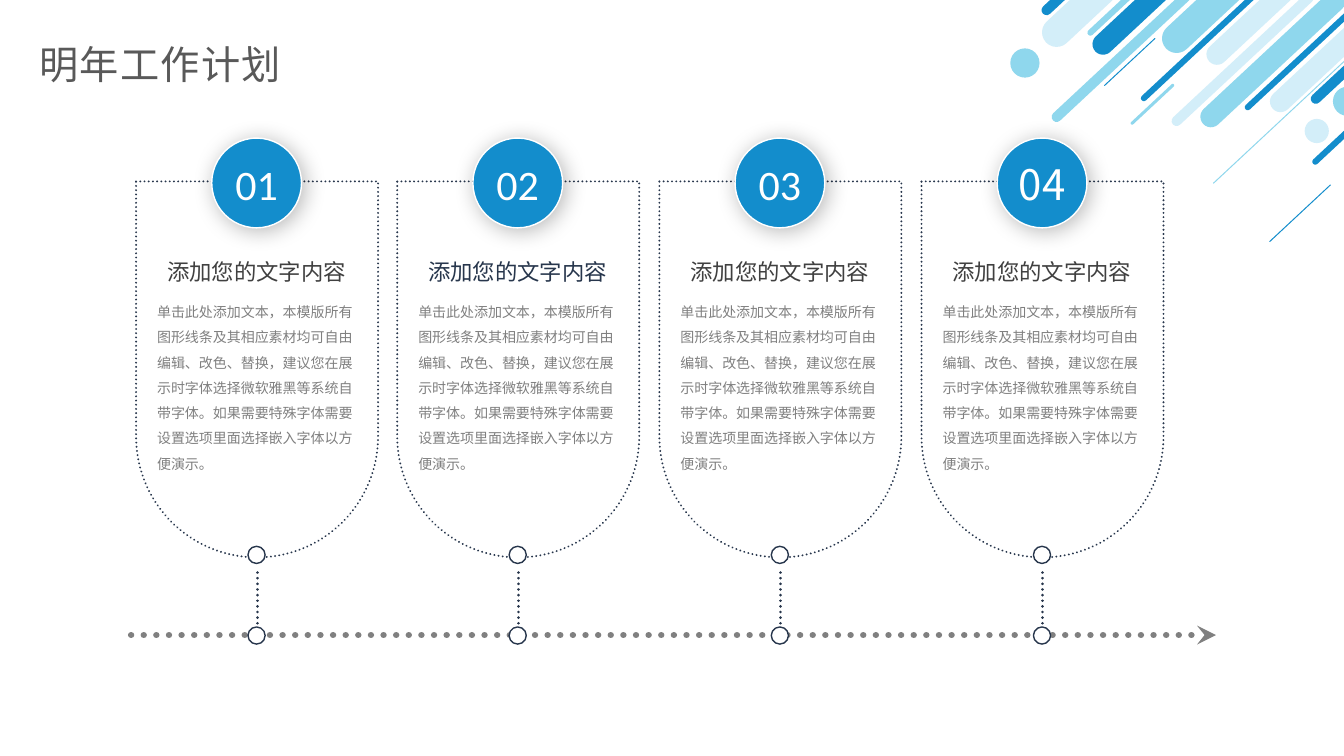
"""Build the work plan slide: four numbered cards above a dotted timeline."""
from lxml.etree import SubElement
from pptx import Presentation
from pptx.dml.color import RGBColor
from pptx.enum.dml import MSO_LINE
from pptx.enum.shapes import MSO_CONNECTOR, MSO_SHAPE
from pptx.enum.text import MSO_ANCHOR, MSO_AUTO_SIZE, PP_ALIGN
from pptx.oxml.ns import qn
from pptx.util import Pt

PX = 9144
CJK_FONT = "Noto Sans CJK SC"
WHITE = RGBColor(0xFF, 0xFF, 0xFF)
BLACK = RGBColor(0x00, 0x00, 0x00)
BLUE = RGBColor(0x13, 0x8D, 0xCC)
SKY = RGBColor(0x8F, 0xD7, 0xED)
PALE = RGBColor(0xD3, 0xEE, 0xF9)
NAVY = RGBColor(0x27, 0x36, 0x4C)
GRAY = RGBColor(0x80, 0x80, 0x80)
DARK = RGBColor(0x40, 0x40, 0x40)
TITLE_GRAY = RGBColor(0x59, 0x59, 0x59)

STRIPES = [
    (1012, -37, 189, 29, PALE), (1054, -33, 189, 6, SKY),
    (1061, -24, 189, 21, BLUE), (1019, 50, 189, 10, SKY),
    (1131, -31, 189, 29, SKY), (1107, 32, 189, 6, BLUE),
    (1174, -14, 189, 21, PALE), (1138, 54, 189, 10, PALE),
    (1168, 48, 189, 21, SKY), (1210, 41, 189, 6, BLUE),
    (1237, 33, 189, 21, PALE), (1276, 32, 189, 10, BLUE),
    (1009, -56, 189, 10, BLUE), (1277, 95, 189, 6, BLUE),
    (1178, 117, 189, 1, SKY), (1248, 211, 83, 1, BLUE),
    (1114, 102, 58, 3, SKY), (1086, 61, 69, 1, BLUE),
]
DOTS = [(1294, 118, 24, PALE), (1322, 86, 29, SKY), (1002, 48, 29, SKY)]

CARDS = [
    ("01", "Calibri", DARK), ("02", "Calibri", NAVY),
    ("03", "Calibri", DARK), ("04", CJK_FONT, DARK),
]
HEADING = "添加您的文字内容"
BODY = (
    "单击此处添加文本，本模版所有图形线条及其相应素材均可自由编辑、改色、替换，"
    "建议您在展示时字体选择微软雅黑等系统自带字体。"
    "如果需要特殊字体需要设置选项里面选择嵌入字体以方便演示。"
)
FIRST_CARD_LEFT = 135
LAST_CARD_OFFSET = 779
CARD_WIDTH = 240
TIMELINE_Y = 630


def px(*lengths):
    """Turn px lengths into EMU."""
    return [length * PX for length in lengths]


def write_text(frame, text, *, size, color, font=CJK_FONT, align=PP_ALIGN.LEFT,
               anchor=MSO_ANCHOR.TOP, wrap=True, line_spacing=None, tracking=None):
    """Fill a text frame with one formatted paragraph."""
    frame.auto_size = MSO_AUTO_SIZE.NONE
    frame.word_wrap = wrap
    frame.vertical_anchor = anchor
    paragraph = frame.paragraphs[0]
    paragraph.alignment = align
    if line_spacing:
        paragraph.line_spacing = line_spacing
    run = paragraph.add_run()
    run.text = text
    run.font.size = Pt(size)
    run.font.color.rgb = color
    run.font.name = font
    properties = run.font._element
    SubElement(properties, qn("a:ea"), typeface=CJK_FONT)
    if tracking:
        properties.set("spc", str(tracking * 100))


def add_label(shapes, box, text, **text_format):
    """Add a text box with formatted text."""
    write_text(shapes.add_textbox(*px(*box)).text_frame, text, **text_format)


def style_line(line, color, width, dotted=False):
    """Set an outline's colour, width and round dots."""
    line.color.rgb = color
    line.width = Pt(width)
    if dotted:
        line.dash_style = MSO_LINE.ROUND_DOT
        line._ln.set("cap", "rnd")


def add_figure(shapes, preset, box, fill, outline=None, width=1, dotted=False):
    """Add a filled preset shape without a shadow."""
    figure = shapes.add_shape(preset, *px(*box))
    figure.fill.solid()
    figure.fill.fore_color.rgb = fill
    if outline is None:
        figure.line.fill.background()
    else:
        style_line(figure.line, outline, width, dotted)
    figure.shadow.inherit = False
    return figure


def add_dotted_line(shapes, ends, color, width):
    """Add a straight dotted connector."""
    connector = shapes.add_connector(MSO_CONNECTOR.STRAIGHT, *px(*ends))
    style_line(connector.line, color, width, dotted=True)
    SubElement(connector._element.spPr, qn("a:effectLst"))
    return connector


def add_soft_shadow(figure):
    """Give a shape a soft shadow to the lower right."""
    effects = figure._element.spPr.find(qn("a:effectLst"))
    shadow = SubElement(effects, qn("a:outerShdw"), blurRad=str(Pt(16)),
                        dist=str(Pt(3)), dir="2700000", algn="tl", rotWithShape="0")
    tint = SubElement(shadow, qn("a:srgbClr"), val=str(BLACK))
    SubElement(tint, qn("a:alpha"), val="28000")


def add_corner_decoration(slide):
    """Draw the slanted stripes and dots in the top right corner."""
    shapes = slide.shapes.add_group_shape().shapes
    for *box, color in STRIPES:
        stripe = add_figure(shapes, MSO_SHAPE.ROUNDED_RECTANGLE, box, color)
        stripe.adjustments[0] = 0.5
        stripe.rotation = 317
    for left, top, diameter, color in DOTS:
        add_figure(shapes, MSO_SHAPE.OVAL, (left, top, diameter, diameter), color)


def add_timeline(slide):
    """Draw the dotted arrow along the bottom."""
    timeline = add_dotted_line(
        slide.shapes, (130, TIMELINE_Y, 1206, TIMELINE_Y), GRAY, 4.5)
    SubElement(timeline.line._ln, qn("a:tailEnd"), type="stealth")


def add_card(slide, left, number, number_font, heading_color):
    """Draw one numbered card and its link to the timeline."""
    shapes = slide.shapes.add_group_shape().shapes
    center = left + CARD_WIDTH // 2

    panel = add_figure(shapes, MSO_SHAPE.ROUND_2_SAME_RECTANGLE,
                       (left, 180, CARD_WIDTH, 373), WHITE, NAVY, 1.5, dotted=True)
    panel.adjustments[0] = 0
    panel.adjustments[1] = 0.5

    badge = add_figure(shapes, MSO_SHAPE.OVAL, (left + 75, 137, 89, 89), BLUE, WHITE)
    add_soft_shadow(badge)

    add_label(shapes, (left + 11, 288, 218, 91), BODY,
              size=10, color=GRAY, line_spacing=1.5)
    add_label(shapes, (left + 21, 251, 198, 37), HEADING,
              size=16, color=heading_color, wrap=False)
    add_label(shapes, (left + 82, 152, 75, 60), number, size=30, color=WHITE,
              font=number_font, align=PP_ALIGN.CENTER)

    add_dotted_line(shapes, (center, 568, center, 627), NAVY, 2)
    for ring_top in (542, 622):
        add_figure(shapes, MSO_SHAPE.OVAL, (center - 9, ring_top, 17, 17), WHITE, NAVY)


def add_title(slide):
    """Place and format the slide title."""
    title = slide.shapes.title
    title.left, title.top, title.width, title.height = px(29, 35, 1304, 57)
    write_text(title.text_frame, "明年工作计划", size=28, color=TITLE_GRAY,
               anchor=MSO_ANCHOR.MIDDLE, tracking=1)


def main():
    """Build and save the slide."""
    deck = Presentation()
    deck.slide_width, deck.slide_height = px(1333, 750)
    slide = deck.slides.add_slide(deck.slide_layouts[5])
    add_title(slide)
    add_corner_decoration(slide)
    add_timeline(slide)
    for index, card in enumerate(CARDS):
        left = FIRST_CARD_LEFT + LAST_CARD_OFFSET * index // (len(CARDS) - 1)
        add_card(slide, left, *card)
    deck.save("out.pptx")


if __name__ == "__main__":
    main()
